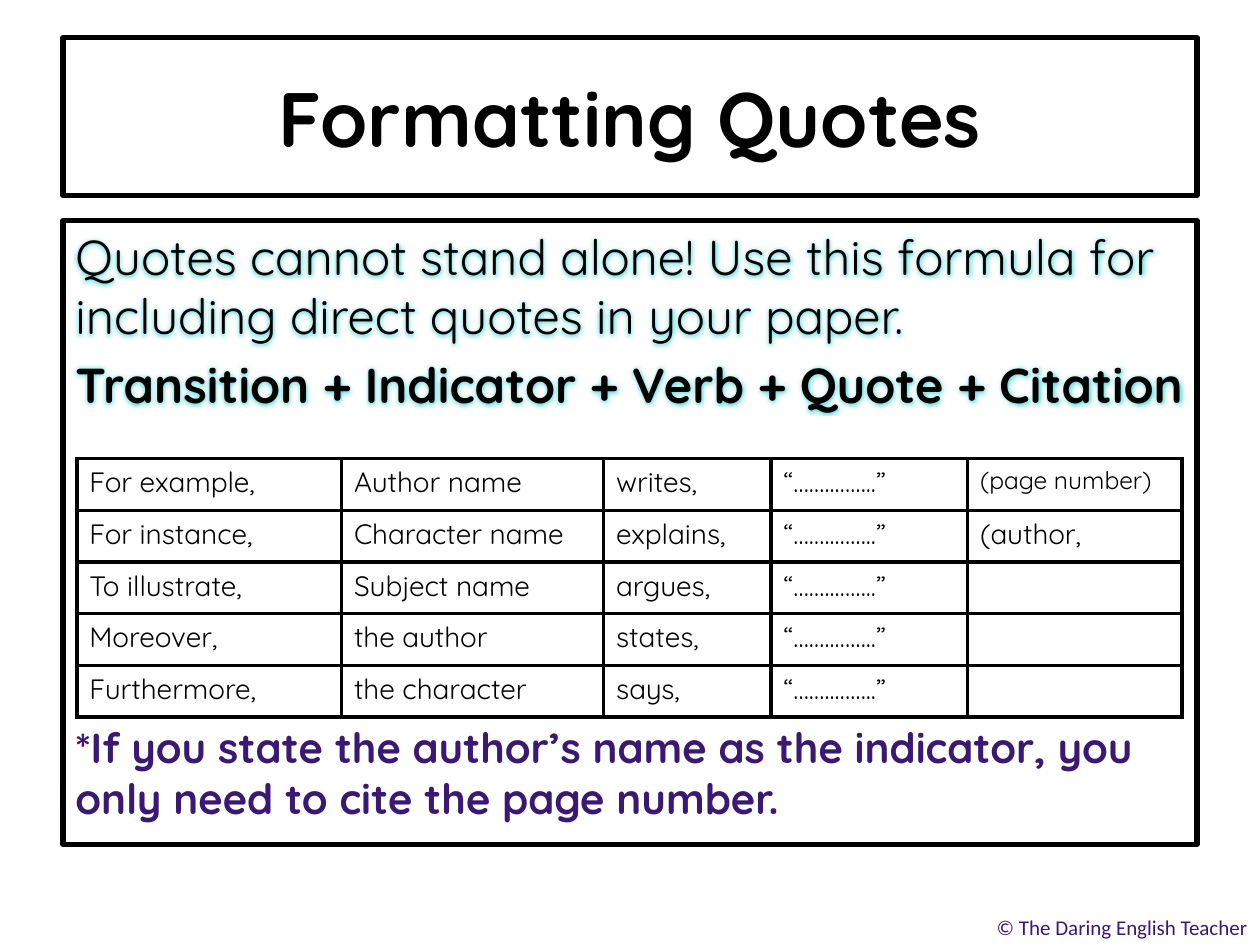
from lxml.etree import SubElement
from pptx import Presentation
from pptx.dml.color import RGBColor
from pptx.enum.shapes import MSO_SHAPE as Shape
from pptx.enum.text import MSO_ANCHOR as Anchor, PP_ALIGN as Align
from pptx.oxml import parse_xml
from pptx.oxml.ns import nsdecls, qn
from pptx.util import Inches, Pt

COLORS = {"ink": "000000", "paper": "FFFFFF", "accent": "3A1973", "glow": "00C4C4"}
FONT = "Quicksand"
QUOTE = "“……..……..”"
ROWS = [
    ["For example,", "Author name", "writes,", QUOTE, "(page number)"],
    ["For instance,", "Character name", "explains,", QUOTE, "(author,"],
    ["To illustrate,", "Subject name", "argues,", QUOTE, ""],
    ["Moreover,", "the author", "states,", QUOTE, ""],
    ["Furthermore,", "the character", "says,", QUOTE, ""],
]
COLUMN_WIDTHS = [2.1, 2.08, 1.33, 1.56, 1.7]
ROW_HEIGHT = 0.41


def color(name):
    """Return a named colour."""
    return RGBColor.from_string(COLORS[name])


def add_span(para, text, size, bold=False, ink="ink", font=FONT):
    """Add a styled run to a paragraph."""
    span = para.add_run()
    span.text = text
    span.font.size = Pt(size)
    span.font.bold = bold
    span.font.name = font
    span.font.color.rgb = color(ink)
    return span


def add_glow(span):
    """Put a soft glow around a run."""
    effects = parse_xml(
        f'<a:effectLst {nsdecls("a")}><a:glow rad="63500"><a:srgbClr val="{COLORS["glow"]}">'
        '<a:alpha val="60000"/></a:srgbClr></a:glow></a:effectLst>'
    )
    span.font._element.find(qn("a:solidFill")).addnext(effects)


def add_panel(page, top, height, anchor):
    """Add a white panel with a heavy outline and return its text frame."""
    panel = page.shapes.add_shape(
        Shape.RECTANGLE, Inches(0.5), Inches(top), Inches(9), Inches(height))
    panel.shadow.inherit = False
    panel.fill.solid()
    panel.fill.fore_color.rgb = color("paper")
    panel.line.color.rgb = color("ink")
    panel.line.width = Pt(3)
    SubElement(panel.line._get_or_add_ln(), qn("a:round"))
    frame = panel.text_frame
    frame.word_wrap = True
    frame.vertical_anchor = anchor
    return frame


def add_label(page, left, top, width, height, anchor=Anchor.TOP, align=Align.LEFT):
    """Add a text box and return its first paragraph."""
    box = page.shapes.add_textbox(Inches(left), Inches(top), Inches(width), Inches(height))
    box.text_frame.word_wrap = True
    box.text_frame.vertical_anchor = anchor
    para = box.text_frame.paragraphs[0]
    para.alignment = align
    return para


def add_borders(cell):
    """Draw all four borders of a table cell."""
    properties = cell._tc.get_or_add_tcPr()
    for index, side in enumerate(("lnL", "lnR", "lnT", "lnB")):
        properties.insert(index, parse_xml(
            f'<a:{side} {nsdecls("a")} w="{Pt(2.25)}"><a:solidFill>'
            f'<a:srgbClr val="{COLORS["ink"]}"/></a:solidFill></a:{side}>'))


def add_examples(page):
    """Add the table of example wordings."""
    table = page.shapes.add_table(
        len(ROWS), len(COLUMN_WIDTHS), Inches(0.61), Inches(3.64),
        Inches(sum(COLUMN_WIDTHS)), Inches(ROW_HEIGHT * len(ROWS))).table
    table.first_row = table.horz_banding = False
    for column, width in zip(table.columns, COLUMN_WIDTHS):
        column.width = Inches(width)
    for row, texts in zip(table.rows, ROWS):
        row.height = Inches(ROW_HEIGHT)
        for cell, text in zip(row.cells, texts):
            cell.fill.background()
            add_borders(cell)
            if text:
                size = 14 if text == "(page number)" else 16
                add_span(cell.text_frame.paragraphs[0], text, size)


def main():
    """Build the slide on formatting quotes."""
    deck = Presentation()
    deck.slide_width, deck.slide_height = Inches(10), Inches(7.5)
    page = deck.slides.add_slide(deck.slide_layouts[6])

    footer = add_label(page, 7.67, 7.16, 2.33, 0.4, Anchor.MIDDLE, Align.RIGHT)
    add_span(footer, "© The Daring English Teacher", 12, ink="accent", font="Calibri")

    title = add_panel(page, 0.3, 1.25, Anchor.MIDDLE).paragraphs[0]
    title.alignment = Align.CENTER
    add_span(title, "Formatting Quotes", 44, bold=True)

    body = add_panel(page, 1.75, 4.95, Anchor.TOP)
    intro, formula = body.paragraphs[0], body.add_paragraph()
    intro.alignment = formula.alignment = Align.LEFT
    formula.space_before = Pt(5.6)
    add_glow(add_span(
        intro, "Quotes cannot stand alone! Use this formula for including direct quotes in your paper.", 28))
    add_glow(add_span(formula, "Transition + Indicator + Verb + Quote + Citation", 28, bold=True))

    note = add_label(page, 0.5, 5.68, 9.09, 0.91)
    add_span(
        note, "*If you state the author’s name as the indicator, you only need to cite the page number.",
        24, bold=True, ink="accent")
    add_examples(page)
    deck.save("out.pptx")


if __name__ == "__main__":
    main()
